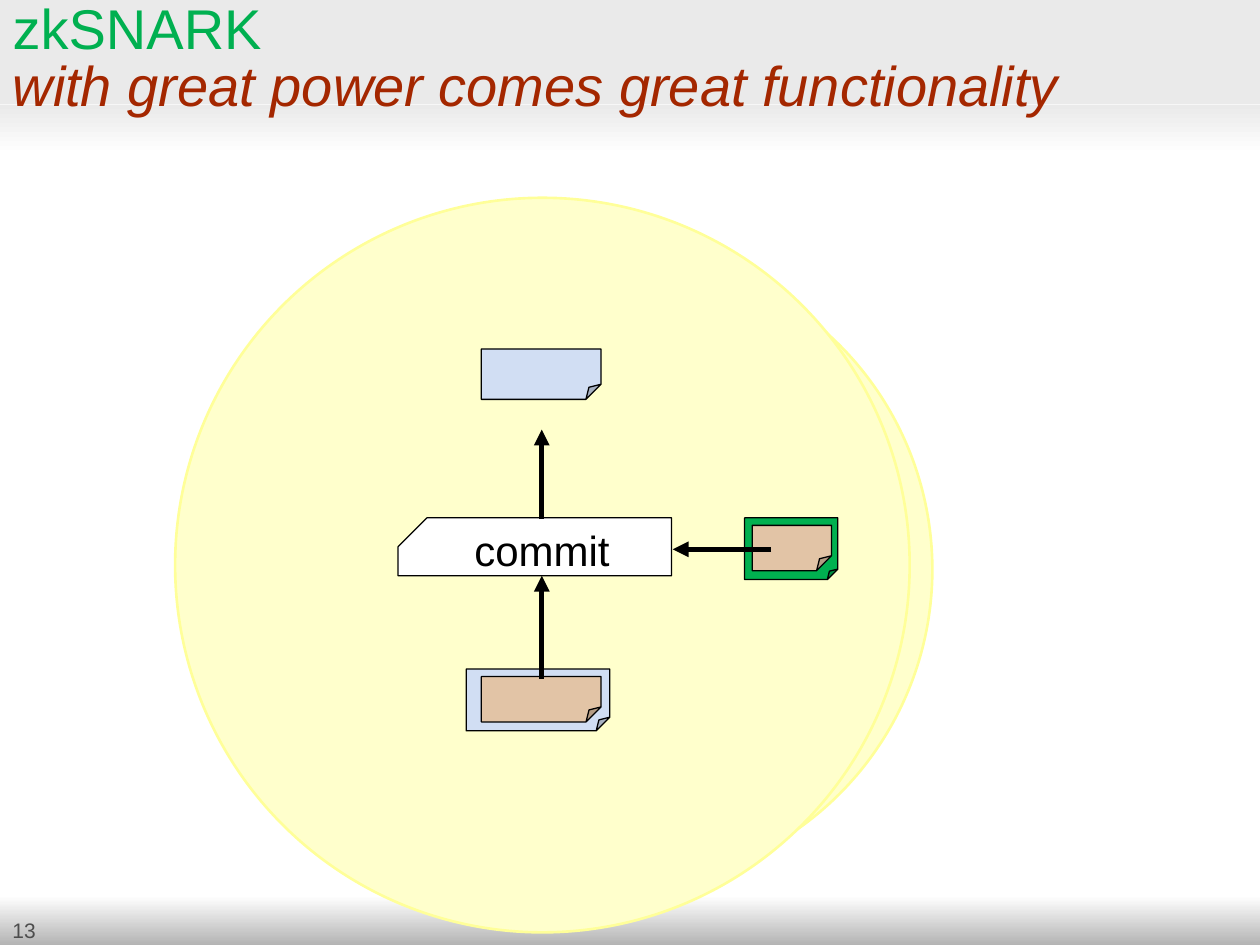
import pptx
import pptx.util
import pptx.dml.color
import pptx.enum.shapes
import pptx.enum.text
import pptx.oxml.ns
from lxml import etree

Inches = pptx.util.Inches
Pt = pptx.util.Pt
KIND = pptx.enum.shapes.MSO_SHAPE
ALIGN = pptx.enum.text.PP_ALIGN
qn = pptx.oxml.ns.qn

HUES = {
    "white": "FFFFFF", "black": "000000", "band": "EAEAEA", "foot": "B2B2B2",
    "number": "4D4D4D", "cream": "FFFFCC", "rim": "FFFF99", "blue": "D1DEF3",
    "tan": "E2C4A6", "green": "00B050", "red": "A42700",
}


def hue(name):
    return pptx.dml.color.RGBColor.from_string(HUES[name])


def write(para, text, size=24, color="black", italic=None):
    run = para.add_run()
    run.text = text
    run.font.name = "Arial"
    run.font.size = Pt(size)
    run.font.color.rgb = hue(color)
    run.font.italic = italic


def bend(item, ratio):
    """Set the corner size; folded corners have no public adjustment."""
    geom = item._element.spPr.find(qn("a:prstGeom"))
    for old in geom.findall(qn("a:avLst")):
        geom.remove(old)
    guides = etree.SubElement(geom, qn("a:avLst"))
    etree.SubElement(guides, qn("a:gd"), name="adj",
                     fmla=f"val {round(ratio * 100000)}")


class Page:
    def __init__(self, deck):
        self.slide = deck.slides.add_slide(deck.slide_layouts[5])
        self.shapes = self.slide.shapes

    def shape(self, kind, box, fill, line=None, width=0.75, fold=None):
        item = self.shapes.add_shape(kind, *map(Inches, box))
        item.shadow.inherit = False
        if fold is not None:
            bend(item, fold)
        if isinstance(fill, tuple):
            item.fill.gradient()
            item.fill.gradient_angle = 270
            for stop, name, place in zip(item.fill.gradient_stops, fill, (0, 1)):
                stop.color.rgb = hue(name)
                stop.position = place
        else:
            item.fill.solid()
            item.fill.fore_color.rgb = hue(fill)
        if line:
            item.line.color.rgb = hue(line)
            item.line.width = Pt(width)
        else:
            item.line.fill.background()
        return item

    def band(self, top, height, fill):
        self.shape(KIND.RECTANGLE, (0, top, 10, height), fill)

    def disc(self, left, top, size):
        self.shape(KIND.OVAL, (left, top, size, size), "cream", "rim", 1.5)

    def note(self, box, fill, fold):
        self.shape(KIND.FOLDED_CORNER, box, fill, "black", fold=fold)

    def arrow(self, start, end):
        link = self.shapes.add_connector(
            pptx.enum.shapes.MSO_CONNECTOR.STRAIGHT, *map(Inches, start + end))
        link.line.color.rgb = hue("black")
        link.line.width = Pt(3)
        props = link._element.spPr
        etree.SubElement(props.find(qn("a:ln")), qn("a:tailEnd"), type="triangle")
        etree.SubElement(props, qn("a:effectLst"))

    def title(self, box, first, second):
        item = self.shapes.title
        item.left, item.top, item.width, item.height = map(Inches, box)
        self.shapes._spTree.append(item._element)  # above the bands
        frame = item.text_frame
        frame.word_wrap = True
        frame.auto_size = pptx.enum.text.MSO_AUTO_SIZE.NONE
        frame.vertical_anchor = pptx.enum.text.MSO_ANCHOR.MIDDLE
        para = frame.paragraphs[0]
        para.alignment = ALIGN.LEFT
        para.line_spacing = 0.85
        write(para, first, size=32, color="green")
        para.add_line_break()
        write(para, second, size=32, color="red", italic=True)

    def number(self, box, text):
        frame = self.shapes.add_textbox(*map(Inches, box)).text_frame
        frame.word_wrap = True
        write(frame.paragraphs[0], text, size=12, color="number")

    def step(self, box, text):
        item = self.shape(KIND.SNIP_1_RECTANGLE, box, "white", "black", fold=0.5)
        item._element.spPr.find(qn("a:xfrm")).set("flipH", "1")
        frame = item.text_frame
        frame.word_wrap = False
        frame.vertical_anchor = pptx.enum.text.MSO_ANCHOR.MIDDLE
        para = frame.paragraphs[0]
        para.alignment = ALIGN.CENTER
        para.line_spacing = 0.85
        write(para, text)


def main():
    deck = pptx.Presentation()
    deck.slide_width, deck.slide_height = Inches(10), Inches(7.5)
    page = Page(deck)

    # Header and footer bands
    page.band(0, 0.83, "band")
    page.band(7.11, 0.4, ("white", "foot"))
    page.number((0, 7.23, 0.95, 0.3), "13")
    page.band(0.83, 0.4, ("band", "white"))

    # Background discs
    page.disc(2.36, 2, 5.04)
    page.disc(1.39, 1.57, 5.83)

    # Input at the bottom
    page.note((3.7, 5.31, 1.14, 0.49), "blue", 0.22)
    page.note((3.82, 5.37, 0.95, 0.36), "tan", 0.33)

    page.title((0, 0.02, 10, 0.92), "zkSNARK",
               "with great power comes great functionality")

    # Commit step and its output
    mid = 4.3
    page.step((3.16, 4.11, 2.17, 0.46), "commit")
    page.arrow((mid, 5.39), (mid, 4.57))
    page.note((3.82, 2.77, 0.95, 0.4), "blue", 0.3)
    page.arrow((mid, 4.12), (mid, 3.41))

    # Input from the right
    page.note((5.91, 4.11, 0.74, 0.49), "green", 0.17)
    page.note((5.97, 4.17, 0.63, 0.36), "tan", 0.33)
    page.arrow((6.12, 4.36), (5.34, 4.36))

    deck.save("out.pptx")


if __name__ == "__main__":
    main()
